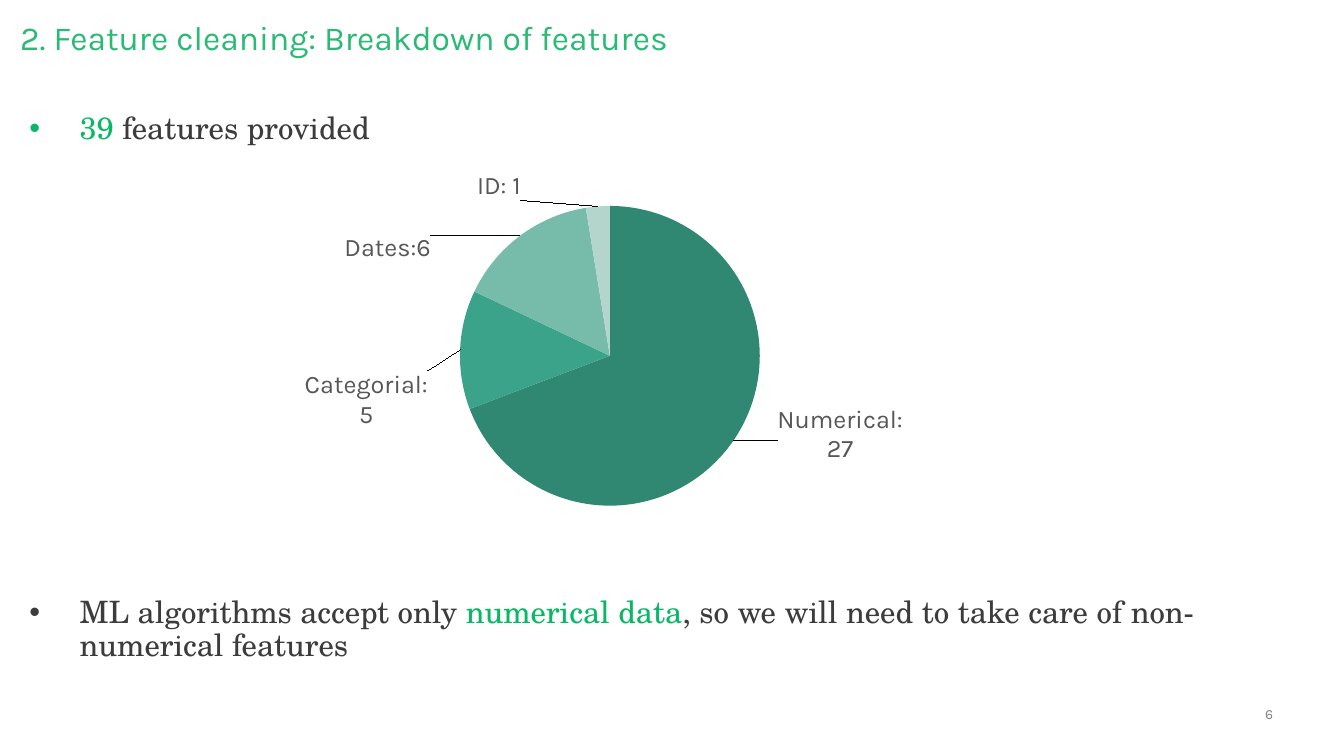
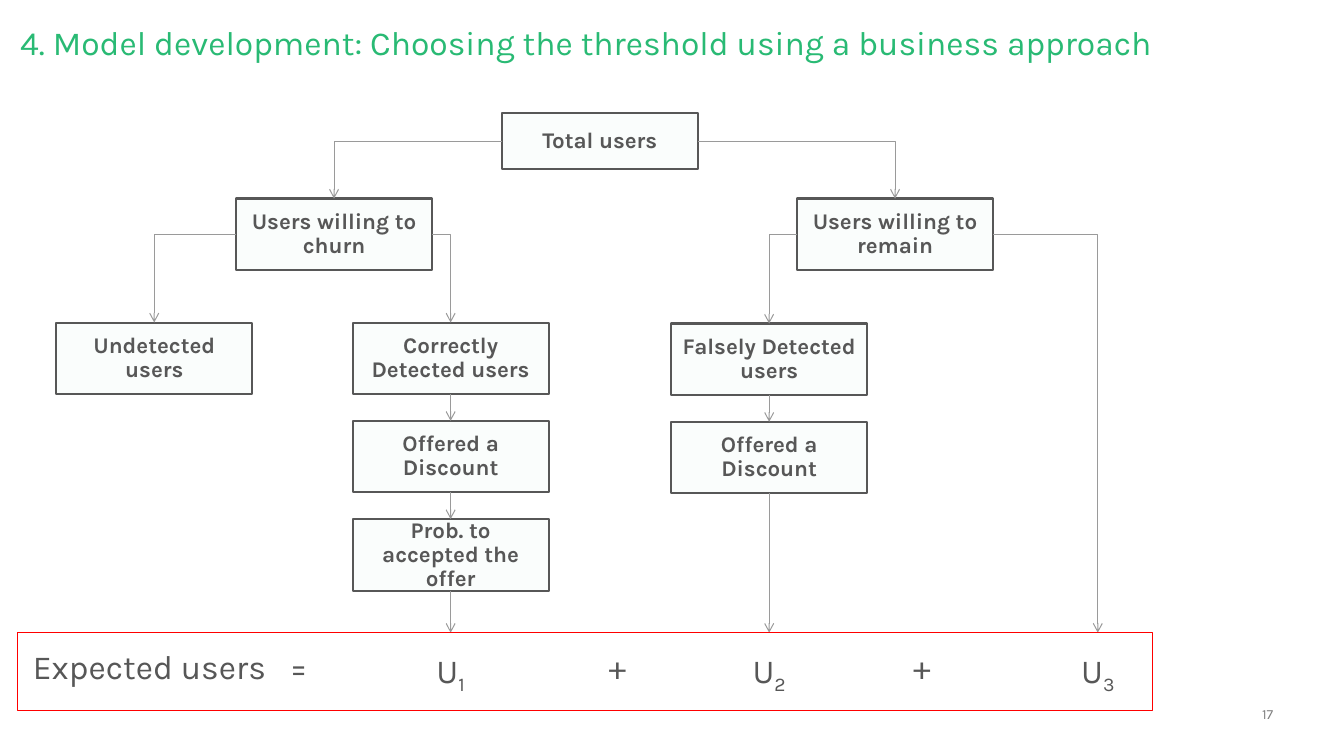
from dataclasses import dataclass
from typing import Any

from lxml import etree
from pptx import Presentation, util as u
from pptx.chart.data import CategoryChartData
from pptx.dml.color import RGBColor
from pptx.enum import chart as charts, shapes, text
from pptx.oxml.ns import qn


# Theme and grid
@dataclass(frozen=True)
class Theme:
    title: str = "29BA74"
    key: str = "07B865"
    body: str = "3C3C3C"
    dark: str = "575757"
    line: str = "9A9A9A"
    page: str = "808080"
    band: str = "FF0000"
    pie: tuple[str, ...] = ("308872", "3BA389", "77BCAA", "B3D5CB")
    sans: str = "Karla"
    serif: str = "TeX Gyre Schola"
    big: int = 24
    list: int = 22
    chart: int = 18
    node: int = 16
    small: int = 10


T = Theme()
deck = Presentation()
deck.slide_width, deck.slide_height = u.Inches(13.33), u.Inches(7.5)
COL, ROW = deck.slide_width / 100, deck.slide_height / 100
MID, LEFT, RIGHT = (text.PP_ALIGN.CENTER, text.PP_ALIGN.LEFT,
                    text.PP_ALIGN.RIGHT)
TOP, CORE = text.MSO_ANCHOR.TOP, text.MSO_ANCHOR.MIDDLE
SITE = {"top": 0, "left": 1, "base": 2, "right": 3}


@dataclass(frozen=True)
class Box:
    """Left, top, width and height in hundredths of the slide."""
    x: float
    y: float
    w: float
    h: float

    def emu(self) -> tuple[int, ...]:
        return (round(self.x * COL), round(self.y * ROW),
                round(self.w * COL), round(self.h * ROW))


@dataclass(frozen=True)
class Run:
    words: str
    color: str
    sub: bool = False


@dataclass(frozen=True)
class Label:
    name: str
    count: int
    lines: tuple[str, ...]
    dx: float
    dy: float


@dataclass(frozen=True)
class Node:
    key: str
    words: str
    mid: float
    top: float
    high: float = 9.47


@dataclass(frozen=True)
class Link:
    start: str
    side: str
    end: str | tuple[float, float]


@dataclass(frozen=True)
class Term:
    words: str
    mid: float
    sub: str = ""
    wide: float = 6


# Shared helpers
def apply(item: Any, form: dict[str, Any]) -> None:
    for name, val in form.items():
        setattr(item, name, val)


def paint(font: Any, color: str, size: int, face: str = T.sans,
          bold: bool = False) -> None:
    apply(font, {"name": face, "size": u.Pt(size), "bold": bold})
    font.color.rgb = RGBColor.from_string(color)


def write(shape: Any, runs: list[Run], size: int, face: str = T.sans,
          align: Any = LEFT, anchor: Any = TOP, bold: bool = False,
          inset: float = 0) -> Any:
    frame = shape.text_frame
    apply(frame, {"word_wrap": True, "vertical_anchor": anchor,
                  "auto_size": text.MSO_AUTO_SIZE.NONE,
                  "margin_left": u.Inches(inset),
                  "margin_right": u.Inches(inset),
                  "margin_top": u.Inches(inset / 2),
                  "margin_bottom": u.Inches(inset / 2)})
    para = frame.paragraphs[0]
    apply(para, {"alignment": align, "line_spacing": 0.9})
    for part in runs:
        run = para.add_run()
        run.text = part.words
        paint(run.font, part.color, size, face, bold)
        if part.sub:
            run.font._element.set("baseline", "-25000")
    return para


def label(slide: Any, box: Box, runs: list[Run], size: int,
          **form: Any) -> Any:
    return write(slide.shapes.add_textbox(*box.emu()), runs, size, **form)


def start(title: str, top: float, page: int) -> Any:
    slide = deck.slides.add_slide(deck.slide_layouts[5])
    head = slide.shapes.title
    spot = Box(1.5, top, 89.7, 4.8).emu()
    apply(head, dict(zip(("left", "top", "width", "height"), spot)))
    write(head, [Run(title, T.title)], T.big)
    label(slide, Box(91.58, 93.33, 3.15, 2.27), [Run(str(page), T.page)],
          T.small, align=RIGHT, anchor=text.MSO_ANCHOR.BOTTOM)
    return slide


def bullet(slide: Any, top: float, high: float, runs: list[Run]) -> None:
    para = label(slide, Box(0, top, 95.5, high), runs, T.list, face=T.serif)
    props = para._p.get_or_add_pPr()
    props.set("marL", str(u.Inches(0.79)))
    props.set("indent", str(u.Inches(-0.5)))
    etree.SubElement(props, qn("a:buFont")).set("typeface", "Arial")
    etree.SubElement(props, qn("a:buChar")).set("char", "•")


def place(host: Any, spot: int, vals: dict[str, Any]) -> None:
    for old in host.findall(qn("c:layout")):
        host.remove(old)
    frame = etree.Element(qn("c:layout"))
    inner = etree.SubElement(frame, qn("c:manualLayout"))
    for name, val in vals.items():
        etree.SubElement(inner, qn(f"c:{name}")).set("val", str(val))
    host.insert(spot, frame)


# Slide with the pie of features
def draw_pie(slide: Any, box: Box, parts: list[Label]) -> None:
    data = CategoryChartData()
    data.categories = [part.name for part in parts]
    data.add_series("Series 1", [part.count for part in parts])
    chart = slide.shapes.add_chart(
        charts.XL_CHART_TYPE.PIE, *box.emu(), data).chart
    apply(chart, {"has_legend": False, "has_title": False})
    paint(chart.font, T.dark, T.chart)
    plot = chart.plots[0]
    plot.vary_by_categories = True
    place(chart._chartSpace.chart.plotArea, 0,
          {"layoutTarget": "inner", "xMode": "edge", "yMode": "edge",
           "x": 0.28, "y": 0.125, "w": 0.457, "h": 0.771})
    series = plot.series[0]
    apply(series.data_labels, {"show_value": True,
                               "show_category_name": True})
    for i, part in enumerate(parts):
        point = series.points[i]
        point.format.fill.solid()
        point.format.fill.fore_color.rgb = RGBColor.from_string(T.pie[i])
        note = point.data_label
        frame = note.text_frame
        for j, line in enumerate(part.lines):
            para = frame.add_paragraph() if j else frame.paragraphs[0]
            run = para.add_run()
            run.text = line
            paint(run.font, T.dark, T.chart)
        note.position = charts.XL_LABEL_POSITION.OUTSIDE_END
        place(note._dLbl, 1, {"x": part.dx, "y": part.dy})


pie = start("2. Feature cleaning: Breakdown of features", 2.8, 6)
bullet(pie, 14.9, 5, [Run("39", T.key), Run(" features provided", T.body)])
draw_pie(pie, Box(20.55, 20.8, 48.83, 51.47), [
    Label("Numerical", 27, ("Numerical:", "27"), 0.06, -0.1),
    Label("Categorial", 5, ("Categorial:", "5"), -0.04, 0.13),
    Label("Dates", 6, ("Dates:6",), -0.13, 0.08),
    Label("ID", 1, ("ID: 1",), -0.15, 0),
])
bullet(pie, 78.93, 9, [
    Run("ML algorithms accept only ", T.body),
    Run("numerical data", T.key),
    Run(", so we will need to take care of non-numerical features", T.body),
])


# Slide with the tree of users
WIDE, STEP = 14.58, 13
LANE = {"churn": 24.86, "remain": 66.6, "u1": 33.53, "u2": 57.23, "u3": 81.68}
SPLIT, HIT, MISS, BAND = 26.27, 42.67, 42.8, 83.7


def draw_node(slide: Any, node: Node) -> Any:
    box = Box(node.mid - WIDE / 2, node.top, WIDE, node.high)
    shape = slide.shapes.add_shape(shapes.MSO_SHAPE.RECTANGLE, *box.emu())
    shape.shadow.inherit = False
    shape.fill.solid()
    shape.fill.fore_color.rgb = RGBColor.from_string(T.title)
    tint = shape._element.spPr.find(qn("a:solidFill"))[0]
    etree.SubElement(tint, qn("a:alpha")).set("val", "2000")
    shape.line.color.rgb = RGBColor.from_string(T.dark)
    shape.line.width = u.Pt(1.5)
    write(shape, [Run(node.words, T.dark)], T.node, align=MID, anchor=CORE,
          bold=True, inset=0.1)
    return shape


def draw_link(slide: Any, link: Link, nodes: dict[str, Any]) -> None:
    bent = link.side != "base"
    kind = shapes.MSO_CONNECTOR.ELBOW if bent else shapes.MSO_CONNECTOR.STRAIGHT
    if isinstance(link.end, str):
        goal = nodes[link.end]
        end = (goal.left + goal.width // 2, goal.top)
    else:
        goal = None
        end = (round(link.end[0] * COL), round(link.end[1] * ROW))
    line = slide.shapes.add_connector(kind, *end, *end)
    line.begin_connect(nodes[link.start], SITE[link.side])
    if goal is not None:
        line.end_connect(goal, SITE["top"])
    line.line.color.rgb = RGBColor.from_string(T.line)
    line.line.width = u.Pt(0.75)
    props = line._element.spPr
    if bent:
        props.find(qn("a:prstGeom")).set("prst", "bentConnector2")
    tip = etree.SubElement(props.find(qn("a:ln")), qn("a:tailEnd"))
    tip.set("type", "arrow")
    etree.SubElement(props, qn("a:effectLst"))


tree = start("4. Model development: Choosing the threshold using "
             "a business approach", 3.47, 17)
nodes = {node.key: draw_node(tree, node) for node in (
    Node("total", "Total users", 44.63, 14.93, 7.47),
    Node("churn", "Users willing to churn", LANE["churn"], SPLIT),
    Node("remain", "Users willing to remain", LANE["remain"], SPLIT),
    Node("missed", "Undetected users", 11.48, HIT),
    Node("found", "Correctly Detected users", LANE["u1"], HIT),
    Node("offer", "Offered a Discount", LANE["u1"], HIT + STEP),
    Node("prob", "Prob. to accepted the offer", LANE["u1"], HIT + 2 * STEP),
    Node("false", "Falsely Detected users", LANE["u2"], MISS),
    Node("waste", "Offered a Discount", LANE["u2"], MISS + STEP),
)}
for link in (
    Link("total", "left", "churn"), Link("total", "right", "remain"),
    Link("churn", "left", "missed"), Link("churn", "right", "found"),
    Link("remain", "left", "false"),
    Link("remain", "right", (LANE["u3"], BAND)),
    Link("found", "base", "offer"), Link("offer", "base", "prob"),
    Link("false", "base", "waste"),
    Link("waste", "base", (LANE["u2"], BAND)),
    Link("prob", "base", (LANE["u1"], BAND)),
):
    draw_link(tree, link, nodes)

# Sum of expected users
for term in (
    Term("Expected users", 11.12, wide=19), Term("=", 22.23),
    Term("U", LANE["u1"], "1"), Term("+", 45.94),
    Term("U", LANE["u2"], "2"), Term("+", 68.59),
    Term("U", LANE["u3"], "3"),
):
    runs = [Run(term.words, T.dark)]
    if term.sub:
        runs.append(Run(term.sub, T.dark, True))
    label(tree, Box(term.mid - term.wide / 2, 86, term.wide, 4.8), runs,
          T.big, align=MID)
band = tree.shapes.add_shape(shapes.MSO_SHAPE.RECTANGLE,
                             *Box(1.28, BAND, 84.45, 10.27).emu())
band.shadow.inherit = False
band.fill.background()
band.line.color.rgb = RGBColor.from_string(T.band)
band.line.width = u.Pt(0.75)

deck.save("out.pptx")
